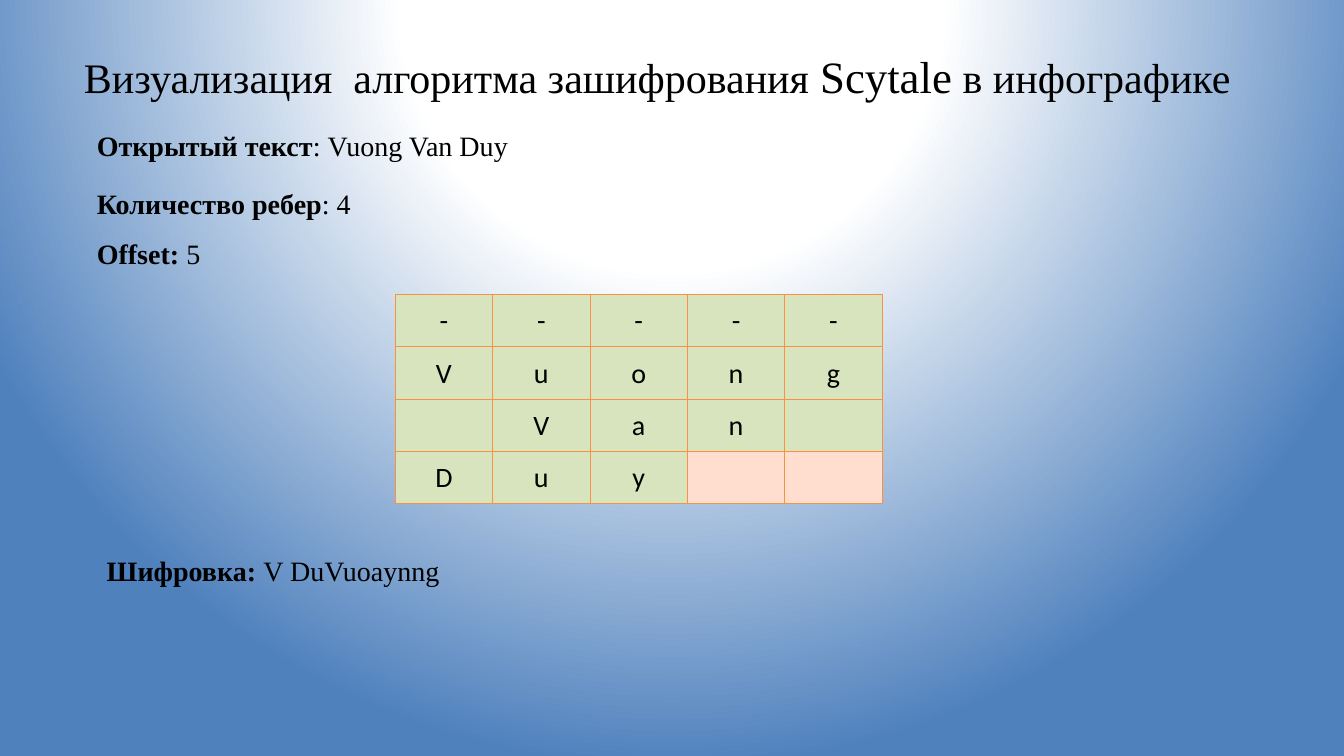
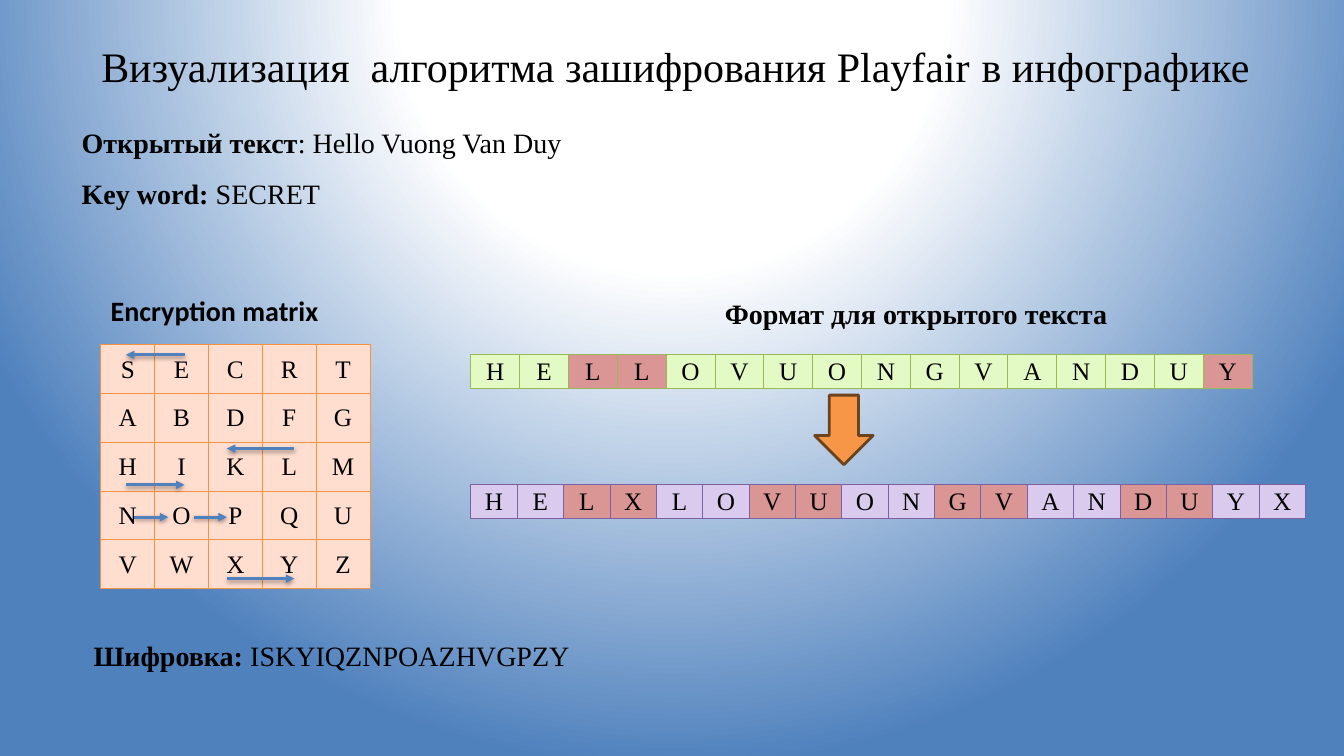
from dataclasses import dataclass

from pptx import Presentation
from pptx.dml.color import RGBColor
from pptx.enum.shapes import MSO_CONNECTOR, MSO_SHAPE
from pptx.enum.text import MSO_ANCHOR, PP_ALIGN
from pptx.oxml import parse_xml
from pptx.oxml.ns import nsdecls, qn
from pptx.util import Inches, Pt


@dataclass(frozen=True)
class Theme:
    serif: str = "Times New Roman"
    sans: str = "Calibri"
    title_size: int = 30
    title_large: int = 32
    body_size: int = 20
    letter_size: int = 18
    text: str = "000000"
    light: str = "FFFFFF"
    blue: str = "4F81BD"
    orange: str = "F79646"
    brown: str = "6C421F"
    orange_border: str = "F69240"
    green_border: str = "98B955"
    purple_border: str = "7D60A0"
    sage: str = "D7E4BD"
    peach: str = "FFDDCF"
    lime: str = "E4FAC4"
    lilac: str = "DACBEE"
    rose: str = "D99694"


THEME = Theme()

# Content: boxes are (left, top, width, height) in inches
SCYTALE = {
    "title": [("Визуализация  алгоритма зашифрования ", THEME.title_size),
              ("Scytale", THEME.title_large),
              (" в инфографике", THEME.title_size)],
    "title_box": (0.5, 0.48, 12.04, 0.63),
    # (box, inset, font, paragraphs of (bold label, plain value))
    "texts": [
        ((0.96, 1.28, 11.41, 0.34), 0, THEME.serif, [("Открытый текст", ": Vuong Van Duy")]),
        ((0.96, 1.85, 11.58, 0.84), 0, THEME.serif,
         [("Количество ребер", ": 4"), ("Offset:", " 5")]),
        ((0.96, 5.44, 11.58, 0.44), 0.1, THEME.serif, [("Шифровка: ", "V DuVuoaynng")]),
    ],
    "tables": [
        {"box": (3.92, 2.92, 4.83, 2.08), "rows": ["-----", "Vuong", " Van ", "Duy  "],
         "font": THEME.sans, "size": THEME.body_size, "border": THEME.orange_border,
         "fill": THEME.sage, "marked": {18, 19}, "mark_fill": THEME.peach},
    ],
}

PLAYFAIR = {
    "title": [("Визуализация  алгоритма зашифрования Playfair", THEME.title_size),
              (" ", THEME.title_large),
              ("в инфографике", THEME.title_size)],
    "title_box": (0.45, 0.37, 12.5, 0.54),
    "texts": [
        ((0.81, 1.25, 12.12, 0.84), 0, THEME.serif,
         [("Открытый текст", ": Hello Vuong Van Duy"), ("Key word: ", "SECRET")]),
        ((0.83, 6.29, 11.34, 0.44), 0.1, THEME.serif, [("Шифровка: ", "ISKYIQZNPOAZHVGPZY")]),
        ((1, 2.86, 2.76, 0.44), 0.1, THEME.sans, [("Encryption matrix", "")]),
        ((7.09, 2.89, 4.33, 0.44), 0.1, THEME.serif, [("Формат для открытого текста", "")]),
    ],
    "tables": [
        {"box": (4.67, 3.52, 7.75, 0.33), "rows": ["HELLOVUONGVANDUY"],
         "border": THEME.green_border, "fill": THEME.lime, "marked": {2, 3, 15}},
        # Every second letter pair is marked
        {"box": (4.67, 4.81, 8.28, 0.33), "rows": ["HELXLOVUONGVANDUYX"],
         "border": THEME.purple_border, "fill": THEME.lilac,
         "marked": {index for index in range(18) if index // 2 % 2}},
        {"box": (1, 3.42, 2.67, 2.42), "rows": ["SECRT", "ABDFG", "HIKLM", "NOPQU", "VWXYZ"],
         "border": THEME.orange_border, "fill": THEME.peach},
    ],
    "down_arrow": (8.08, 3.92, 0.58, 0.69),
    # Horizontal arrows: (from x, to x, y)
    "arrows": [(1.83, 1.25, 3.52), (1.25, 1.83, 4.81), (2.92, 2.25, 4.45),
               (2.25, 2.92, 5.74), (1.92, 2.25, 5.13), (1.33, 1.67, 5.13)],
}


def color(value):
    return RGBColor.from_string(value)


def inches(values):
    return [Inches(value) for value in values]


def set_background(master):
    master.background.fill.solid()
    properties = master.element.find(".//" + qn("p:bgPr"))
    stops = "".join(
        f'<a:gs pos="{position * 1000}"><a:srgbClr val="{value}"/></a:gs>'
        for position, value in ((0, THEME.light), (35, THEME.light), (100, THEME.blue)))
    gradient = parse_xml(
        f'<a:gradFill {nsdecls("a")} rotWithShape="1"><a:gsLst>{stops}</a:gsLst>'
        '<a:path path="circle"><a:fillToRect l="50000" t="-80000" r="50000" b="180000"/>'
        '</a:path></a:gradFill>')
    properties.replace(properties.find(qn("a:solidFill")), gradient)


def format_font(font, name, size, bold=False):
    font.name, font.size, font.bold = name, Pt(size), bold
    font.color.rgb = color(THEME.text)


def add_run(paragraph, text, name, size, bold=False):
    run = paragraph.add_run()
    run.text = text
    format_font(run.font, name, size, bold)


def set_margins(target, left, top, right, bottom):
    target.margin_left, target.margin_top = Inches(left), Inches(top)
    target.margin_right, target.margin_bottom = Inches(right), Inches(bottom)


def add_title(slide, box, runs):
    title = slide.shapes.title
    title.left, title.top, title.width, title.height = inches(box)
    text_frame = title.text_frame
    set_margins(text_frame, 0, 0, 0, 0)
    text_frame.vertical_anchor = MSO_ANCHOR.TOP
    paragraph = text_frame.paragraphs[0]
    paragraph.alignment = PP_ALIGN.CENTER
    for text, size in runs:
        add_run(paragraph, text, THEME.serif, size)


def add_text(slide, box, inset, font, lines):
    text_frame = slide.shapes.add_textbox(*inches(box)).text_frame
    text_frame.word_wrap = True
    set_margins(text_frame, inset, inset / 2, inset, inset / 2)
    for index, (label, value) in enumerate(lines):
        paragraph = text_frame.add_paragraph() if index else text_frame.paragraphs[0]
        paragraph.space_after = Pt(12)
        add_run(paragraph, label, font, THEME.body_size, bold=True)
        if value:
            add_run(paragraph, value, font, THEME.body_size)


def add_borders(cell, value):
    properties = cell._tc.get_or_add_tcPr()
    for side in "LRTB":
        properties.append(parse_xml(
            f'<a:ln{side} {nsdecls("a")} w="{Pt(0.75)}"><a:solidFill>'
            f'<a:srgbClr val="{value}"/></a:solidFill></a:ln{side}>'))


def add_letter_table(slide, box, rows, border, fill, marked=(), mark_fill=THEME.rose,
                     font=THEME.serif, size=THEME.letter_size):
    column_count = len(rows[0])
    table = slide.shapes.add_table(len(rows), column_count, *inches(box)).table
    table.first_row = table.horz_banding = False
    for column in table.columns:
        column.width = Inches(box[2] / column_count)
    for row in table.rows:
        row.height = Inches(box[3] / len(rows))
    for index, (cell, letter) in enumerate(zip(table.iter_cells(), "".join(rows))):
        set_margins(cell, 0.01, 0.01, 0.01, 0)
        cell.vertical_anchor = MSO_ANCHOR.MIDDLE
        add_borders(cell, border)
        cell.fill.solid()
        cell.fill.fore_color.rgb = color(mark_fill if index in marked else fill)
        paragraph = cell.text_frame.paragraphs[0]
        paragraph.text = letter.strip()
        paragraph.alignment = PP_ALIGN.CENTER
        for run in paragraph.runs:
            format_font(run.font, font, size)


def add_down_arrow(slide, box):
    arrow = slide.shapes.add_shape(MSO_SHAPE.DOWN_ARROW, *inches(box))
    arrow.shadow.inherit = False
    arrow.fill.solid()
    arrow.fill.fore_color.rgb = color(THEME.orange)
    arrow.line.color.rgb = color(THEME.brown)
    arrow.line.width = Pt(2)


def add_arrow(slide, start, end, y):
    arrow = slide.shapes.add_connector(MSO_CONNECTOR.STRAIGHT, *inches((start, y, end, y)))
    arrow.line.color.rgb = color(THEME.blue)
    arrow.line.width = Pt(2)
    properties = arrow._element.spPr
    properties.find(qn("a:ln")).append(
        parse_xml(f'<a:tailEnd {nsdecls("a")} type="triangle"/>'))
    properties.append(parse_xml(
        f'<a:effectLst {nsdecls("a")}><a:outerShdw blurRad="40000" dist="20000" '
        f'dir="5400000" rotWithShape="0"><a:srgbClr val="{THEME.text}">'
        '<a:alpha val="38000"/></a:srgbClr></a:outerShdw></a:effectLst>'))


def add_cipher_slide(presentation, content):
    slide = presentation.slides.add_slide(presentation.slide_layouts[5])
    add_title(slide, content["title_box"], content["title"])
    for text in content["texts"]:
        add_text(slide, *text)
    for table in content["tables"]:
        add_letter_table(slide, **table)
    if "down_arrow" in content:
        add_down_arrow(slide, content["down_arrow"])
    for arrow in content.get("arrows", []):
        add_arrow(slide, *arrow)


def main():
    presentation = Presentation()
    presentation.slide_width, presentation.slide_height = Inches(13.33), Inches(7.5)
    set_background(presentation.slide_master)
    for content in (SCYTALE, PLAYFAIR):
        add_cipher_slide(presentation, content)
    presentation.save("out.pptx")


if __name__ == "__main__":
    main()
